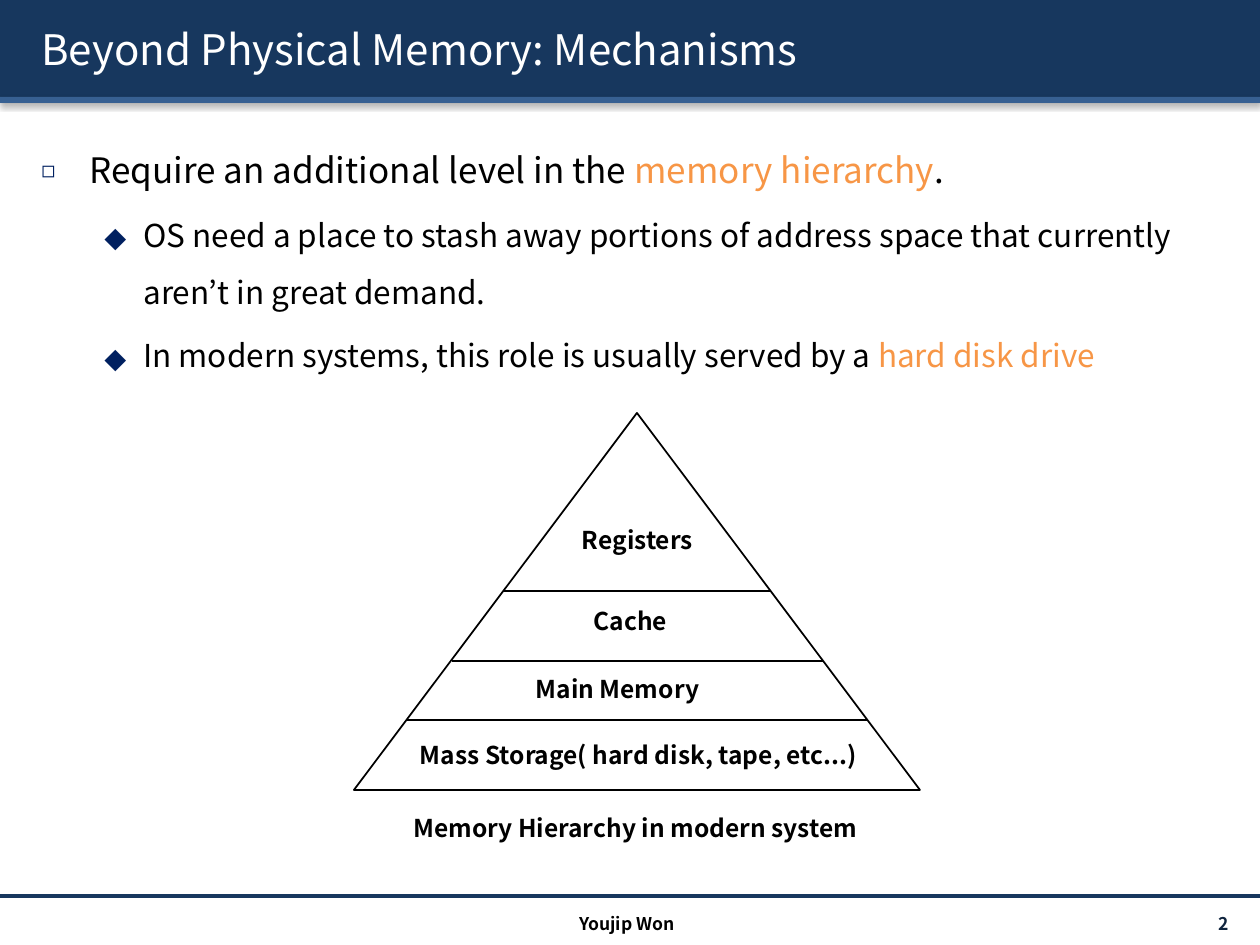
from lxml import etree
from pptx import Presentation
from pptx.dml.color import RGBColor
from pptx.enum.shapes import MSO_CONNECTOR, MSO_SHAPE
from pptx.enum.text import MSO_ANCHOR, PP_ALIGN
from pptx.oxml import parse_xml
from pptx.oxml.ns import nsdecls, qn
from pptx.util import Pt

PX = 914400 // 126
FONT = "Noto Sans CJK KR"
NAVY, BLUE, ORANGE, BLACK, WHITE = "17375E", "376092", "F79646", "000000", "FFFFFF"
LEFT, CENTER, RIGHT = PP_ALIGN.LEFT, PP_ALIGN.CENTER, PP_ALIGN.RIGHT
TOP, MIDDLE = MSO_ANCHOR.TOP, MSO_ANCHOR.MIDDLE
STRAIGHT = MSO_CONNECTOR.STRAIGHT
RECTANGLE, TRIANGLE = MSO_SHAPE.RECTANGLE, MSO_SHAPE.ISOSCELES_TRIANGLE
SHADOW = (
    f'<a:outerShdw {nsdecls("a")} blurRad="%d" dist="%d" dir="%d" algn="t" rotWithShape="0">'
    '<a:srgbClr val="000000"><a:alpha val="%d"/></a:srgbClr></a:outerShdw>'
)


def rgb(value):
    return RGBColor.from_string(value)


def add_text(text, left, top, width, height, size=14, color=BLACK, bold=True,
             align=CENTER, anchor=TOP):
    """Add a text box; text is a string or a list of paragraphs of (text, color) spans."""
    box = page.shapes.add_textbox(left * PX, top * PX, width * PX, height * PX)
    frame = box.text_frame
    frame.word_wrap = True
    frame.vertical_anchor = anchor
    paragraphs = [[(text, color)]] if isinstance(text, str) else text
    for index, spans in enumerate(paragraphs):
        para = frame.paragraphs[0] if index == 0 else frame.add_paragraph()
        para.alignment = align
        for words, span_color in spans:
            span = para.add_run()
            span.text = words
            span.font.size = Pt(size)
            span.font.bold = bold
            span.font.name = FONT
            span.font.color.rgb = rgb(span_color)
            etree.SubElement(span.font._element, qn("a:ea"), typeface=FONT)
    return box


deck = Presentation()
deck.slide_width = 1260 * PX
deck.slide_height = 945 * PX
page = deck.slides.add_slide(deck.slide_layouts[6])

# Header bands with a soft shadow
for top, height, color in [(0, 97, NAVY), (97, 6, BLUE)]:
    band = page.shapes.add_shape(RECTANGLE, 0, top * PX, 1260 * PX, height * PX)
    band.fill.solid()
    band.fill.fore_color.rgb = rgb(color)
    band.line.fill.background()
    band.shadow.inherit = False
    effects = band._element.spPr.find(qn("a:effectLst"))
    effects.append(parse_xml(SHADOW % (39370, 20320, 5400000, 38000)))

# Title with a text shadow
title = add_text("Beyond Physical Memory: Mechanisms", 29, 8, 1211, 81,
                 size=24, color=WHITE, bold=False, align=LEFT, anchor=MIDDLE)
title_font = title.text_frame.paragraphs[0].runs[0].font._element
effects = etree.Element(qn("a:effectLst"))
effects.append(parse_xml(SHADOW % (38100, 38100, 2700000, 100000)))
title_font.find(qn("a:solidFill")).addnext(effects)

# Bulleted body
body = add_text([
    [("Require an additional level in the ", BLACK), ("memory hierarchy", ORANGE), (".", BLACK)],
    [("OS need a place to stash away portions of address space that currently "
      "aren’t in great demand.", BLACK)],
    [("In modern systems, this role is usually served by a ", BLACK),
     ("hard disk drive", ORANGE)],
], 29, 121, 1211, 759, size=18, bold=False, align=LEFT)
for index, para in enumerate(body.text_frame.paragraphs):
    level = min(index, 1)
    margin, hanging, mark, percent = [(48, 48, "◻", 65), (102, 39, "⬥", 100)][level]
    para.level = level
    properties = para._p.get_or_add_pPr()
    properties.set("marL", str(margin * PX))
    properties.set("indent", str(-hanging * PX))
    bullet_color = etree.SubElement(properties, qn("a:buClr"))
    etree.SubElement(bullet_color, qn("a:srgbClr"), val="002060")
    etree.SubElement(properties, qn("a:buSzPct"), val=str(percent * 1000))
    etree.SubElement(properties, qn("a:buFont"), typeface=FONT)
    etree.SubElement(properties, qn("a:buChar"), char=mark)
    para.line_spacing = 1.5
    if level:
        para.space_before = Pt(4)
    else:
        for span in para.runs:
            span.font.size = Pt(20)

# Memory pyramid
pyramid = page.shapes.add_shape(TRIANGLE, 354 * PX, 413 * PX, 566 * PX, 377 * PX)
pyramid.fill.solid()
pyramid.fill.fore_color.rgb = rgb(WHITE)
pyramid.line.color.rgb = rgb(BLACK)
pyramid.line.width = Pt(1)
pyramid.shadow.inherit = False

# Pyramid dividers and footer rule
for start, end, height, color, weight in [
    (504, 771, 591, BLACK, 1),
    (452, 823, 661, BLACK, 1),
    (407, 868, 720, BLACK, 1),
    (0, 1260, 896, NAVY, 2),
]:
    rule = page.shapes.add_connector(STRAIGHT, start * PX, height * PX, end * PX, height * PX)
    rule.line.color.rgb = rgb(color)
    rule.line.width = Pt(weight)
    etree.SubElement(rule._element.spPr, qn("a:effectLst"))

# Level names and caption
for text, left, top in [
    ("Registers", 356, 519),
    ("Cache", 349, 600),
    ("Main Memory", 336, 668),
    ("Mass Storage( hard disk, tape, etc...)", 357, 734),
    ("Memory Hierarchy in modern system", 354, 807),
]:
    add_text(text, left, top, 563, 43)

# Footer
add_text("Youjip Won", 418, 907, 418, 30, size=10)
add_text("2 ", 1097, 908, 148, 30, size=10, color="0F243E", align=RIGHT, anchor=MIDDLE)

deck.save("out.pptx")
